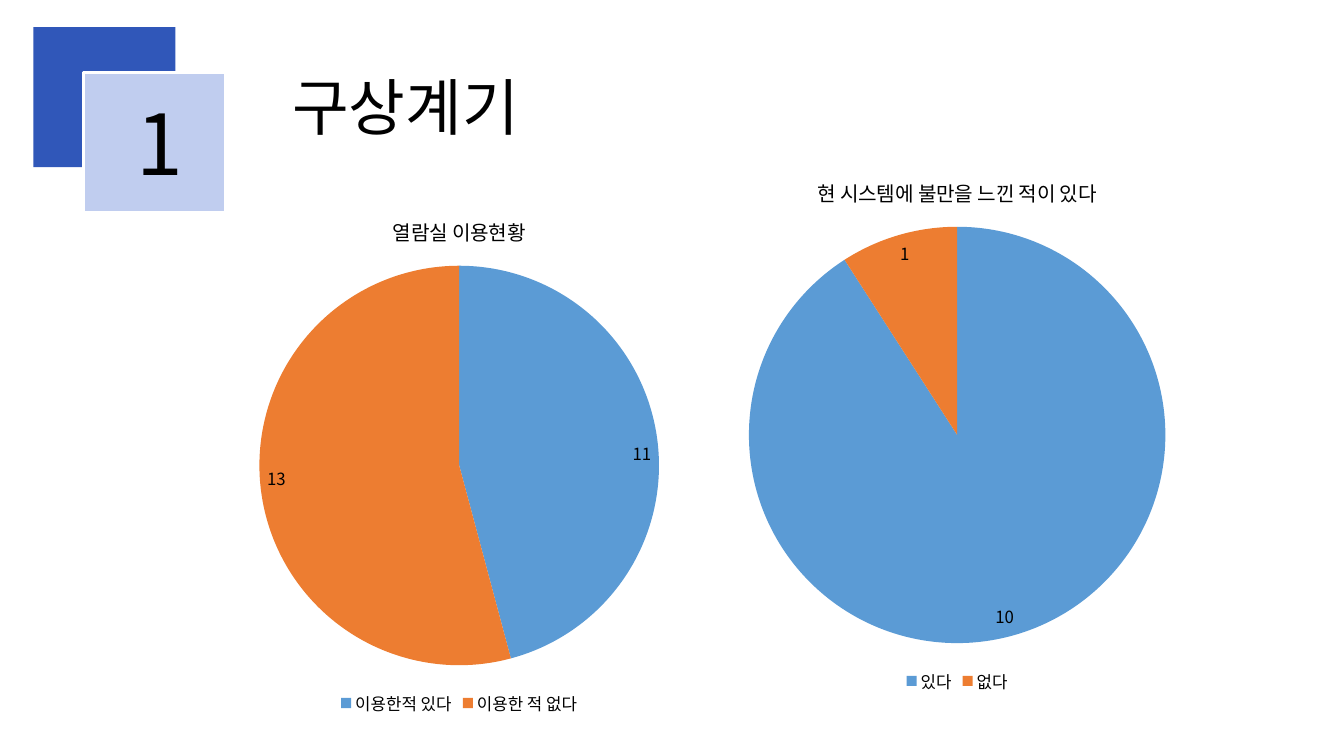
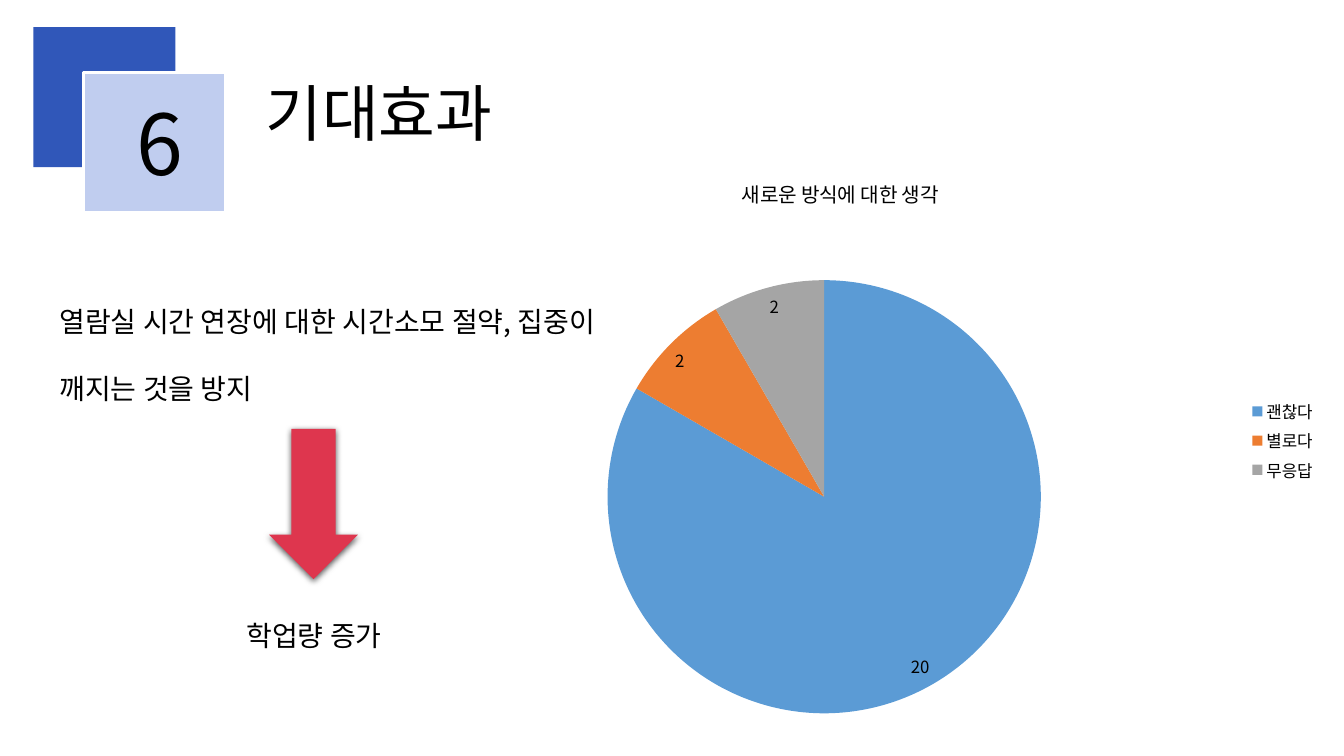
"""Build two survey slides with numbered headings and pie charts."""
from lxml.etree import SubElement
from pptx import Presentation
from pptx.chart.data import CategoryChartData
from pptx.dml.color import RGBColor
from pptx.enum.chart import XL_CHART_TYPE, XL_LABEL_POSITION, XL_LEGEND_POSITION
from pptx.enum.shapes import MSO_SHAPE
from pptx.enum.text import MSO_ANCHOR, MSO_AUTO_SIZE, PP_ALIGN
from pptx.oxml.ns import qn
from pptx.util import Inches, Pt

FONT = "Noto Sans CJK KR"
COLORS = {"text": "000000", "back": "3057B9", "front": "C0CDEF", "white": "FFFFFF", "arrow": "DE364E"}
PIE_COLORS = ["5B9BD5", "ED7D31", "A5A5A5"]
SQUARE = (10.58, 18.53)
BOTTOM, RIGHT = XL_LEGEND_POSITION.BOTTOM, XL_LEGEND_POSITION.RIGHT

SLIDES = [
    {
        "number": "1", "title": "구상계기", "title_area": (21, 4.93, 22.1, 19.33),
        "charts": [
            {"title": "열람실 이용현황", "area": (5.48, 25.87, 57.38, 69.33), "legend": BOTTOM,
             "values": {"이용한적 있다": 11, "이용한 적 없다": 13}},
            {"title": "현 시스템에 불만을 느낀 적이 있다", "area": (41.48, 20.67, 59.48, 71.6),
             "legend": BOTTOM, "values": {"있다": 10, "없다": 1}},
        ],
        "texts": [], "arrows": [],
    },
    {
        "number": "6", "title": "기대효과", "title_area": (19, 5.73, 27, 19.33),
        "charts": [
            {"title": "새로운 방식에 대한 생각", "area": (26.33, 20.67, 72.38, 75.2), "legend": RIGHT,
             "values": {"괜찮다": 20, "별로다": 2, "무응답": 2},
             "plot": {"x": 0.245, "y": 0.218, "w": 0.477, "h": 0.762}},
        ],
        "texts": [
            ("열람실 시간 연장에 대한 시간소모 절약, 집중이 깨지는 것을 방지", (3.68, 35.2, 41.63, 19.33), PP_ALIGN.LEFT),
            ("학업량 증가", (3.68, 76.67, 39.38, 10.27), PP_ALIGN.CENTER),
        ],
        "arrows": [(20.03, 56.73, 6.6, 19.87)],
    },
]

presentation = Presentation()
presentation.slide_width, presentation.slide_height = Inches(13.33), Inches(7.5)


def place(left, top, width, height):
    """Turn percentages of the slide into lengths."""
    column, row = presentation.slide_width / 100, presentation.slide_height / 100
    return int(left * column), int(top * row), int(width * column), int(height * row)


def style(font, size):
    """Give a font the shared face and colour, for Latin and Korean text."""
    font.size, font.bold = Pt(size), False
    font.color.rgb = RGBColor.from_string(COLORS["text"])
    font.name = FONT
    SubElement(font._rPr, qn("a:ea"), typeface=FONT)


for content in SLIDES:
    slide = presentation.slides.add_slide(presentation.slide_layouts[5])
    title = slide.shapes.title
    title.left, title.top, title.width, title.height = place(*content["title_area"])
    title.text_frame.text = content["title"]
    title.text_frame.auto_size = MSO_AUTO_SIZE.NONE
    title.text_frame.vertical_anchor = MSO_ANCHOR.MIDDLE
    paragraph = title.text_frame.paragraphs[0]
    paragraph.alignment, paragraph.line_spacing = PP_ALIGN.LEFT, 0.9
    style(paragraph.font, 44)

    for color, corner in (("back", (2.48, 3.6)), ("front", (6.23, 9.6))):
        square = slide.shapes.add_shape(MSO_SHAPE.RECTANGLE, *place(*corner, *SQUARE))
        square.shadow.inherit = False
        square.fill.solid()
        square.fill.fore_color.rgb = RGBColor.from_string(COLORS[color])
        square.line.fill.background()
    square.line.color.rgb = RGBColor.from_string(COLORS["white"])
    square.line.width = Pt(2)

    number = (content["number"], (9.45, 11.47, 7.28, 14.6), PP_ALIGN.LEFT)
    for text, area, alignment in [number, *content["texts"]]:
        is_number = text == content["number"]
        box = slide.shapes.add_textbox(*place(*area))
        box.text_frame.word_wrap = True
        box.text_frame.text = text
        paragraph = box.text_frame.paragraphs[0]
        paragraph.alignment = alignment
        paragraph.line_spacing = 1.0 if is_number else 2.0
        style(paragraph.font, 60 if is_number else 20)

    for survey in content["charts"]:
        data = CategoryChartData()
        data.categories = list(survey["values"])
        data.add_series(survey["title"], list(survey["values"].values()))
        chart = slide.shapes.add_chart(XL_CHART_TYPE.PIE, *place(*survey["area"]), data).chart
        style(chart.font, 12)
        chart.has_title = True
        chart.chart_title.include_in_layout = False
        chart.chart_title.text_frame.text = survey["title"]
        style(chart.chart_title.text_frame.paragraphs[0].font, 14.4)
        chart.has_legend = True
        chart.legend.position = survey["legend"]
        chart.legend.include_in_layout = False
        plot = chart.plots[0]
        plot.vary_by_categories = True
        plot.has_data_labels = True
        plot.data_labels.show_value = True
        plot.data_labels.show_percentage = False
        plot.data_labels.position = XL_LABEL_POSITION.INSIDE_END
        for index, color in zip(range(len(survey["values"])), PIE_COLORS):
            fill = plot.series[0].points[index].format.fill
            fill.solid()
            fill.fore_color.rgb = RGBColor.from_string(color)
        if "plot" in survey:
            plot_area = chart._chartSpace.chart.plotArea
            for layout in plot_area.findall(qn("c:layout")):
                plot_area.remove(layout)
            layout = SubElement(plot_area, qn("c:layout"))
            plot_area.insert(0, layout)
            manual = SubElement(layout, qn("c:manualLayout"))
            settings = {"layoutTarget": "inner", "xMode": "edge", "yMode": "edge", **survey["plot"]}
            for name, value in settings.items():
                SubElement(manual, qn("c:" + name), val=str(value))

    for area in content["arrows"]:
        arrow = slide.shapes.add_shape(MSO_SHAPE.DOWN_ARROW, *place(*area))
        arrow.fill.solid()
        arrow.fill.fore_color.rgb = RGBColor.from_string(COLORS["arrow"])
        arrow.line.fill.background()
        arrow.shadow.inherit = False
        effects = arrow._element.spPr.find(qn("a:effectLst"))
        shadow = SubElement(effects, qn("a:outerShdw"), blurRad=str(Pt(4.5)), dist=str(Pt(1.5)),
                            dir="5400000", algn="ctr", rotWithShape="0")
        shadow_color = SubElement(shadow, qn("a:srgbClr"), val=COLORS["text"])
        SubElement(shadow_color, qn("a:alpha"), val="63000")

presentation.save("out.pptx")
